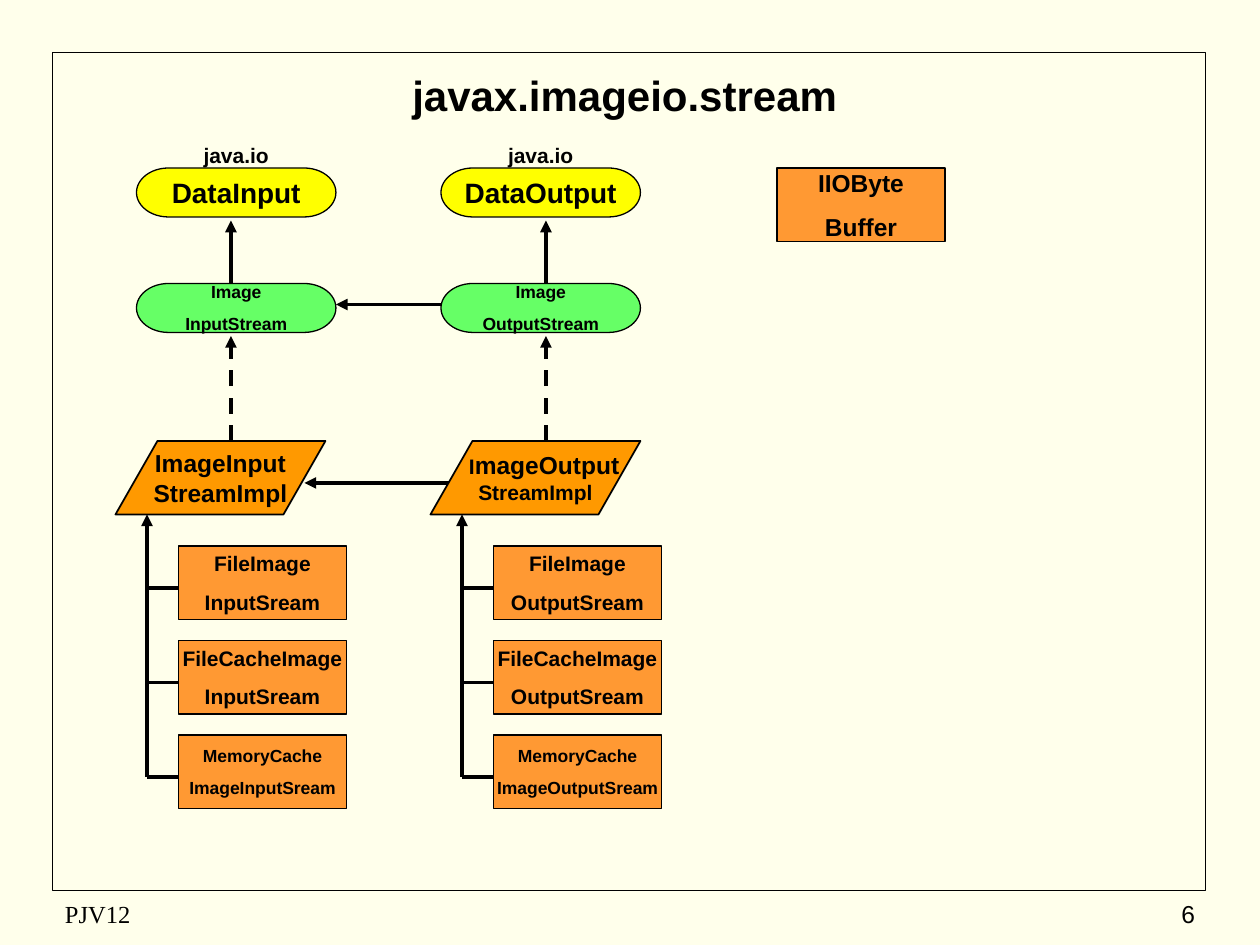
from lxml.etree import SubElement
from pptx import Presentation
from pptx.dml.color import RGBColor
from pptx.enum.dml import MSO_LINE
from pptx.enum.shapes import MSO_CONNECTOR, MSO_SHAPE as Kind
from pptx.enum.text import MSO_ANCHOR, PP_ALIGN as Align
from pptx.oxml.ns import qn
from pptx.util import Pt

CREAM = RGBColor(0xFF, 0xFF, 0xEB)
BLACK = RGBColor(0, 0, 0)
YELLOW = RGBColor(0xFF, 0xFF, 0)
GREEN = RGBColor(0x66, 0xFF, 0x66)
AMBER = RGBColor(0xFF, 0x99, 0)
ORANGE = RGBColor(0xFF, 0x99, 0x33)

CLASS_W, CLASS_H = 96, 42
ROUND_W, ROUND_H = 114, 28
IMPL_W = 120


def write(frame, text, size, align=Align.CENTER, bold=True, font="Arial", gap=0):
    """Fill a text frame; gap is the space before each later paragraph."""
    frame.text = text
    frame.vertical_anchor = MSO_ANCHOR.MIDDLE
    for i, para in enumerate(frame.paragraphs):
        para.alignment = align
        para.space_before = Pt(gap if i else 0)
        for run in para.runs:
            run.font.size = Pt(size)
            run.font.name = font
            run.font.bold = bold
            run.font.color.rgb = BLACK


def add_label(slide, left, top, width, height, text, size, **style):
    box = slide.shapes.add_textbox(Pt(left), Pt(top), Pt(width), Pt(height))
    box.text_frame.word_wrap = True
    write(box.text_frame, text, size, **style)


def add_node(slide, kind, left, top, width, height, fill, text, size, gap=0, line=1):
    node = slide.shapes.add_shape(kind, Pt(left), Pt(top), Pt(width), Pt(height))
    node.shadow.inherit = False
    node.fill.solid()
    node.fill.fore_color.rgb = fill
    node.line.color.rgb = BLACK
    node.line.width = Pt(line)
    node.text_frame.word_wrap = False
    write(node.text_frame, text, size, gap=gap)
    return node


def add_line(slide, x1, y1, x2, y2, arrow=True, dash=False):
    link = slide.shapes.add_connector(
        MSO_CONNECTOR.STRAIGHT, Pt(x1), Pt(y1), Pt(x2), Pt(y2))
    link.line.color.rgb = BLACK
    link.line.width = Pt(2.25)
    if dash:
        link.line.dash_style = MSO_LINE.DASH
    if arrow:
        SubElement(link.line._get_or_add_ln(), qn("a:tailEnd"), type="triangle")
    SubElement(link._element.spPr, qn("a:effectLst"))


def add_class(slide, left, top, text, size):
    add_node(slide, Kind.RECTANGLE, left, top, CLASS_W, CLASS_H, ORANGE,
             text, size, gap=size * 0.625)


def add_types(slide, left, axis, base, stream):
    """Interface pair: the java.io base above, the image stream below."""
    add_label(slide, left, 78, ROUND_W, 21.6, "java.io", 12)
    rows = ((96, YELLOW, base, 16), (162, GREEN, stream, 10))
    for top, fill, text, size in rows:
        add_node(slide, Kind.FLOWCHART_TERMINATOR, left, top, ROUND_W, ROUND_H,
                 fill, text, size, gap=6.25, line=0.75)
    add_line(slide, axis, 162, axis, 126)
    add_line(slide, axis, 252, axis, 192, dash=True)


def add_tree(slide, left, impl, way):
    """Implementation class with its three subclasses."""
    node = add_node(slide, Kind.FLOWCHART_DATA, left, 252, IMPL_W, CLASS_H,
                    AMBER, impl, 14)
    trunk, boxes = left + 18, left + 36
    add_line(slide, trunk, 444, trunk, 294)
    leaves = ((f"FileImage\n{way}Sream", 12), (f"FileCacheImage\n{way}Sream", 12),
              (f"MemoryCache\nImage{way}Sream", 10))
    for i, (text, size) in enumerate(leaves):
        top = 312 + 54 * i
        add_class(slide, boxes, top, text, size)
        add_line(slide, trunk, top + 24, boxes, top + 24, arrow=False)
    return node


def shrink_output(node):
    """Set the smaller runs and the shifted first line of ImageOutputStreamImpl."""
    first, second = node.text_frame.paragraphs
    second.runs[0].font.size = Pt(12)
    first._p.get_or_add_pPr().set("marL", str(Pt(10)))
    start = first.runs[0]
    start.text = "I"
    rest = first.add_run()
    rest.text = "mageOutput"
    rest.font.name = "Arial"
    rest.font.bold = True
    rest.font.color.rgb = BLACK
    rest.font.size = Pt(14)
    start.font.size = Pt(12)


def add_frame(slide):
    frame = slide.shapes.add_shape(Kind.RECTANGLE, Pt(30), Pt(30), Pt(659), Pt(479))
    frame.shadow.inherit = False
    frame.fill.background()
    frame.line.color.rgb = BLACK
    frame.line.width = Pt(1)


def add_title(slide, text):
    title = slide.shapes.title
    title.left, title.top, title.width, title.height = Pt(36), Pt(36), Pt(642), Pt(36)
    write(title.text_frame, text, 24)


def add_footer(slide, top):
    add_label(slide, 30, top, 228, 24, "PJV12", 14, align=Align.LEFT,
              bold=False, font="Times New Roman")
    add_label(slide, 540, top, 150, 24, "6", 14, align=Align.RIGHT, bold=False)


def main():
    deck = Presentation()
    deck.slide_width, deck.slide_height = Pt(720), Pt(540)
    slide = deck.slides.add_slide(deck.slide_layouts[5])
    slide.background.fill.solid()
    slide.background.fill.fore_color.rgb = CREAM

    add_frame(slide)
    add_title(slide, "javax.imageio.stream")
    add_class(slide, 444, 96, "IIOByte\nBuffer", 14)
    add_line(slide, 258, 276, 174, 276)
    add_tree(slide, 66, "ImageInput\nStreamImpl", "Input")
    shrink_output(add_tree(slide, 246, "ImageOutput\nStreamImpl", "Output"))
    add_types(slide, 78, 132, "DataInput", "Image\nInputStream")
    add_types(slide, 252, 312, "DataOutput", "Image\nOutputStream")
    add_line(slide, 252, 174, 192, 174)
    add_footer(slide, 510)
    deck.save("out.pptx")


if __name__ == "__main__":
    main()
